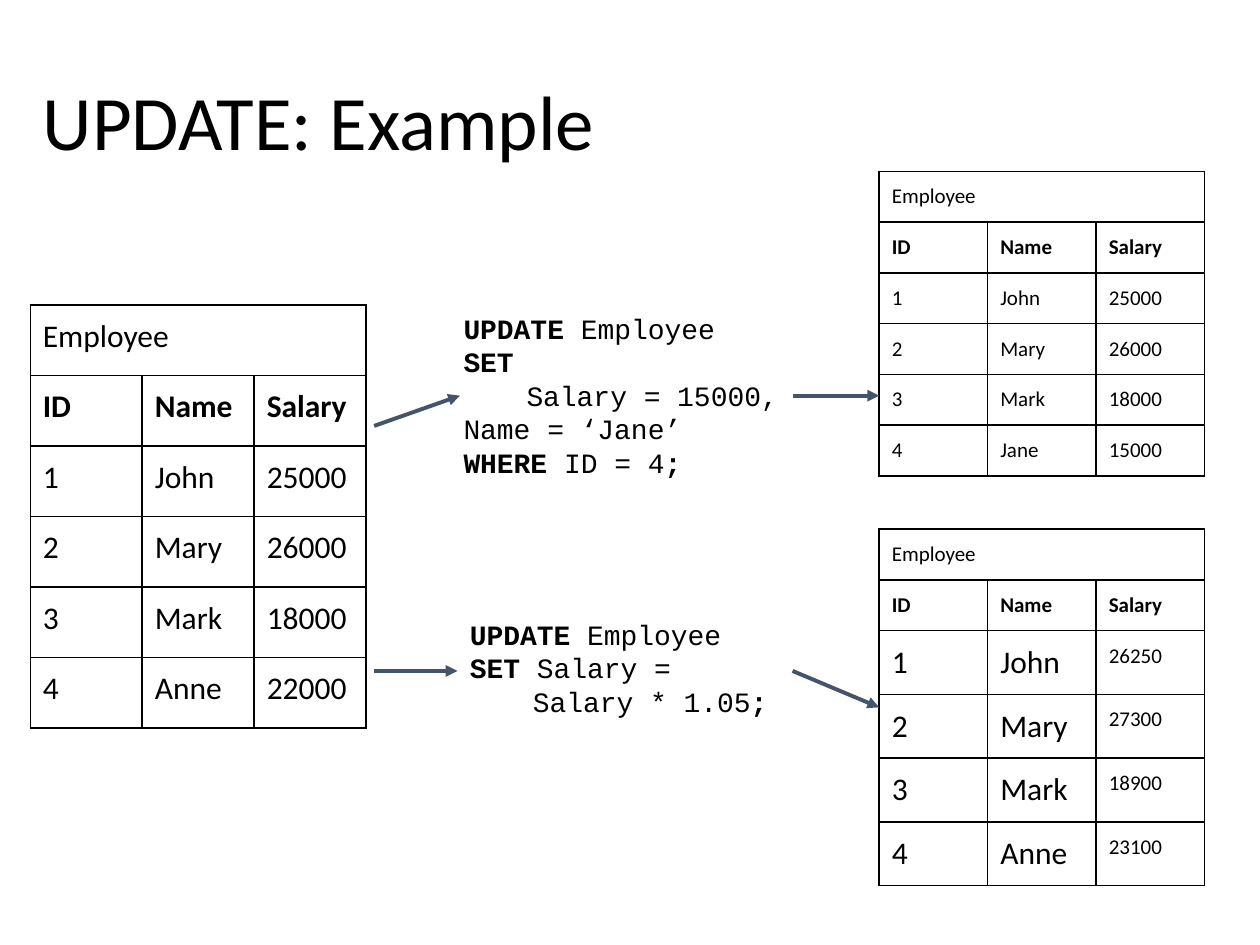
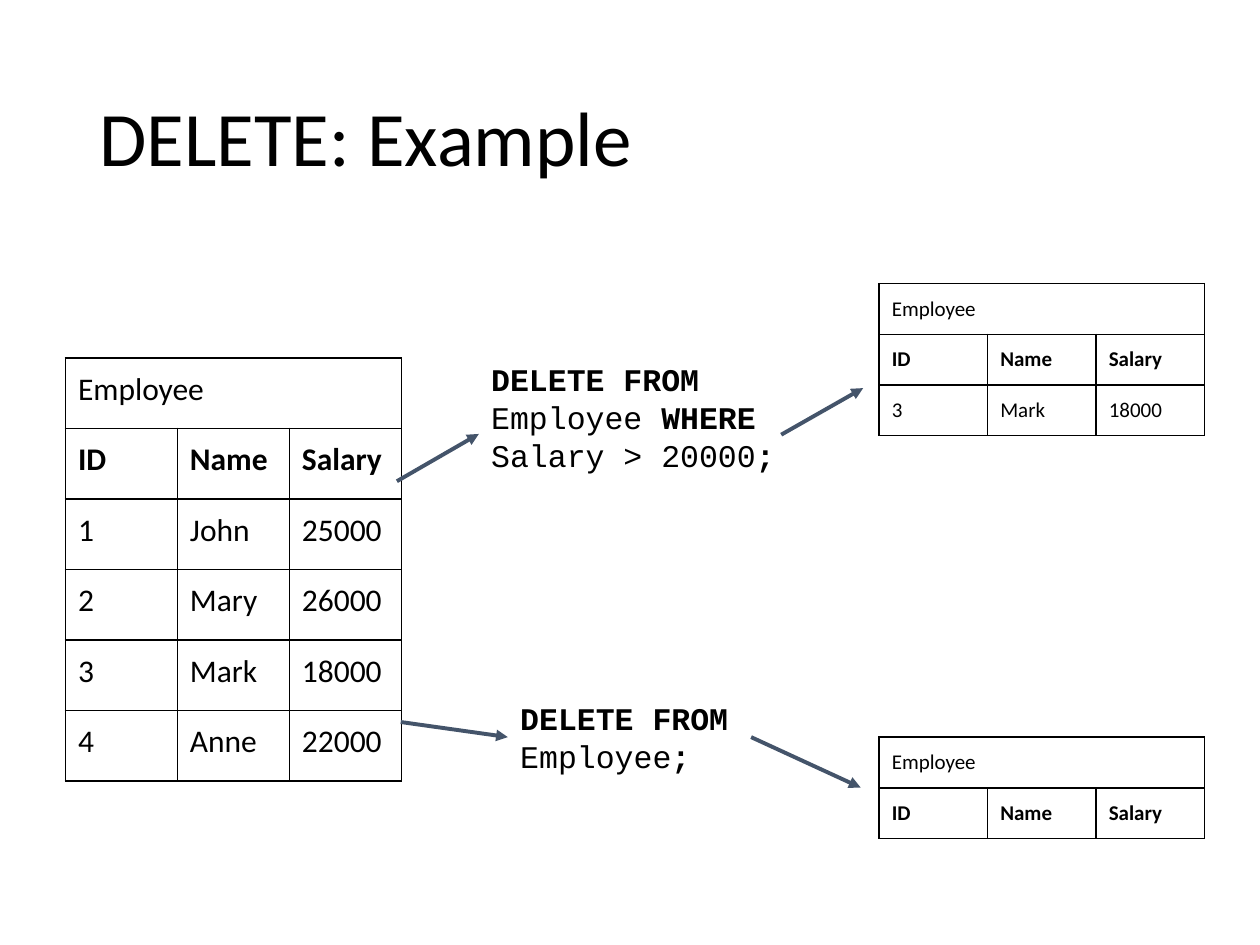
from dataclasses import dataclass
from typing import NamedTuple

import pptx
import pptx.dml.color
import pptx.enum.shapes
import pptx.enum.text
import pptx.oxml.ns
import pptx.util
from lxml import etree

Pt = pptx.util.Pt

COLOURS = {"ink": "000000", "arrow": "44546A"}
BODY_FONT, CODE_FONT = "Calibri", "Courier New"
INSET = 7.2
BORDER_WIDTH = 1
LEFT, RIGHT = 1, 3  # connection sites

HEADINGS = ("ID", "Name", "Salary")
JOHN = ("1", "John", "25000")
MARY = ("2", "Mary", "26000")
MARK = ("3", "Mark", "18000")
ANNE = ("4", "Anne", "22000")
EMPLOYEES = (JOHN, MARY, MARK, ANNE)


# Elements of an example
class Box(NamedTuple):
    left: float
    top: float
    width: float
    height: float


class Point(NamedTuple):
    x: float
    y: float


class Joint(NamedTuple):
    target: str
    side: int


class Word(NamedTuple):
    text: str
    bold: bool = False


class CodeLine(NamedTuple):
    words: tuple[Word, ...]
    indent: float = 0


@dataclass
class Relation:
    left: float
    top: float
    records: tuple[tuple[str, ...], ...]
    column_width: float = 62
    row_height: float = 29
    record_height: float = 29
    heading_size: float = 12
    record_sizes: tuple[float, ...] = (12, 12, 12)


@dataclass
class Statement:
    box: Box
    size: float
    lines: tuple[CodeLine, ...]


@dataclass
class Arrow:
    start: Point | Joint
    end: Point | Joint


@dataclass
class Example:
    title: str
    title_box: Box
    steps: dict[str, Relation | Statement]
    arrows: tuple[Arrow, ...]


# Content
def before_change(left: float, top: float) -> Relation:
    """The full employee relation that both examples start from."""
    return Relation(left, top, EMPLOYEES, 64, 40.3, 40.3, 18, (18, 18, 18))


def result(top: float, records: tuple[tuple[str, ...], ...] = (), **style) -> Relation:
    return Relation(502.4, top, records, **style)


def keyword(text: str) -> Word:
    return Word(text, True)


END = keyword(";")
UPDATE_LINE = CodeLine((keyword("UPDATE "), Word("Employee")))
DELETE_WORDS = (keyword("DELETE FROM "), Word("Employee"))

EXAMPLES = (
    Example(
        "UPDATE: Example",
        Box(17.3, 19.4, 356.4, 104.4),
        {
            "employees": before_change(17.3, 174.2),
            "change one": Statement(Box(257.8, 170.6, 204.5, 104.4), 16, (
                UPDATE_LINE,
                CodeLine((keyword("SET"),)),
                CodeLine((Word("Salary = 15000, Name = ‘Jane’"),), 36),
                CodeLine((keyword("WHERE "), Word("ID = 4"), END)),
            )),
            "raise all": Statement(Box(261.4, 345.6, 191.5, 75.6), 16, (
                UPDATE_LINE,
                CodeLine((keyword("SET "), Word("Salary ="))),
                CodeLine((Word("Salary * 1.05"), END), 36),
            )),
            "one changed": result(97.9, (JOHN, MARY, MARK, ("4", "Jane", "15000"))),
            "all raised": result(
                302.4,
                tuple((*employee[:2], salary) for employee, salary
                      in zip(EMPLOYEES, ("26250", "27300", "18900", "23100"))),
                record_height=36.4, record_sizes=(18, 18, 12),
            ),
        },
        (
            Arrow(Point(213.8, 243.4), Point(262.8, 226.1)),
            Arrow(Point(213.8, 383.4), Joint("raise all", LEFT)),
            Arrow(Joint("raise all", RIGHT), Joint("all raised", LEFT)),
            Arrow(Point(452.9, 226.1), Point(502.4, 226.1)),
        ),
    ),
    Example(
        "DELETE: Example",
        Box(49.7, 28.8, 620.6, 104.4),
        {
            "employees": before_change(37.4, 204.5),
            "delete some": Statement(Box(273.6, 198.7, 191.5, 98.6), 18, (
                CodeLine((*DELETE_WORDS, keyword(" WHERE "), Word("Salary > 20000"), END)),
            )),
            "delete all": Statement(Box(290.2, 392.4, 139, 57.6), 18, (
                CodeLine((*DELETE_WORDS, END)),
            )),
            "some left": result(162, (MARK,)),
            "none left": result(421.2),
        },
        (
            Arrow(Point(226.8, 275), Joint("delete some", LEFT)),
            Arrow(Point(229, 412.6), Joint("delete all", LEFT)),
            Arrow(Joint("delete all", RIGHT), Point(491.8, 450)),
            Arrow(Point(446.4, 248.4), Point(493.2, 221.8)),
        ),
    ),
)


# Drawing
def style_font(font, size: float, family: str) -> None:
    font.size = Pt(size)
    font.name = family
    font.color.rgb = pptx.dml.color.RGBColor.from_string(COLOURS["ink"])


def draw_title(slide, text: str, box: Box) -> None:
    title = slide.shapes.title
    title.left, title.top, title.width, title.height = map(Pt, box)
    frame = title.text_frame
    frame.text = text
    frame.vertical_anchor = pptx.enum.text.MSO_ANCHOR.MIDDLE
    frame.auto_size = pptx.enum.text.MSO_AUTO_SIZE.NONE
    paragraph = frame.paragraphs[0]
    paragraph.alignment = pptx.enum.text.PP_ALIGN.LEFT
    paragraph.line_spacing = 0.9
    style_font(paragraph.font, 44, BODY_FONT)


def add_borders(cell) -> None:
    properties = cell._tc.get_or_add_tcPr()
    qn = pptx.oxml.ns.qn
    for edge in ("a:lnL", "a:lnR", "a:lnT", "a:lnB"):
        line = etree.SubElement(properties, qn(edge), w=str(Pt(BORDER_WIDTH)))
        fill = etree.SubElement(line, qn("a:solidFill"))
        etree.SubElement(fill, qn("a:srgbClr"), val=COLOURS["ink"])


def fill_cell(cell, text: str, size: float, bold: bool) -> None:
    add_borders(cell)
    cell.fill.background()
    cell.margin_left = cell.margin_right = Pt(INSET)
    cell.margin_top = cell.margin_bottom = Pt(INSET)
    cell.text = text
    font = cell.text_frame.paragraphs[0].font
    style_font(font, size, BODY_FONT)
    font.bold = bold


def draw_relation(slide, relation: Relation):
    rows = (("Employee", "", ""), HEADINGS, *relation.records)
    heights = [relation.row_height] * 2 + [relation.record_height] * len(relation.records)
    frame = slide.shapes.add_table(
        len(rows), len(HEADINGS), Pt(relation.left), Pt(relation.top),
        Pt(relation.column_width * len(HEADINGS)), Pt(sum(heights)))
    table = frame.table
    table.first_row = table.horz_banding = False
    for column in table.columns:
        column.width = Pt(relation.column_width)
    for r, (values, height) in enumerate(zip(rows, heights)):
        table.rows[r].height = Pt(height)
        for c, value in enumerate(values):
            size = relation.heading_size if r < 2 else relation.record_sizes[c]
            fill_cell(table.cell(r, c), value, size, bold=r == 1)
    table.cell(0, 0).merge(table.cell(0, len(HEADINGS) - 1))
    return frame


def draw_statement(slide, statement: Statement):
    code = slide.shapes.add_textbox(*map(Pt, statement.box))
    frame = code.text_frame
    frame.word_wrap = True
    frame.margin_left = frame.margin_right = Pt(INSET)
    frame.margin_top = frame.margin_bottom = Pt(INSET)
    for i, line in enumerate(statement.lines):
        paragraph = frame.paragraphs[0] if i == 0 else frame.add_paragraph()
        style_font(paragraph.font, statement.size, CODE_FONT)
        if line.indent:
            paragraph._p.get_or_add_pPr().set("indent", str(Pt(line.indent)))
        for word in line.words:
            run = paragraph.add_run()
            run.text = word.text
            run.font.bold = word.bold
    return code


def draw_arrow(slide, arrow: Arrow, drawn: dict) -> None:
    start, end = (Point(0, 0) if isinstance(tip, Joint) else tip
                  for tip in (arrow.start, arrow.end))
    connector = slide.shapes.add_connector(
        pptx.enum.shapes.MSO_CONNECTOR.STRAIGHT, *map(Pt, (*start, *end)))
    if isinstance(arrow.start, Joint):
        connector.begin_connect(drawn[arrow.start.target], arrow.start.side)
    if isinstance(arrow.end, Joint):
        connector.end_connect(drawn[arrow.end.target], arrow.end.side)
    connector.line.width = Pt(2.25)
    connector.line.color.rgb = pptx.dml.color.RGBColor.from_string(COLOURS["arrow"])
    qn = pptx.oxml.ns.qn
    etree.SubElement(connector.line._get_or_add_ln(), qn("a:tailEnd"), type="triangle")
    etree.SubElement(connector._element.spPr, qn("a:effectLst"))


def draw_example(deck, example: Example) -> None:
    slide = deck.slides.add_slide(deck.slide_layouts[5])  # title only
    draw_title(slide, example.title, example.title_box)
    drawn = {}
    for name, step in example.steps.items():
        draw = draw_relation if isinstance(step, Relation) else draw_statement
        drawn[name] = draw(slide, step)
    for arrow in example.arrows:
        draw_arrow(slide, arrow, drawn)


def main() -> None:
    deck = pptx.Presentation()
    deck.slide_width, deck.slide_height = Pt(720), Pt(540)
    for example in EXAMPLES:
        draw_example(deck, example)
    deck.save("out.pptx")


if __name__ == "__main__":
    main()
